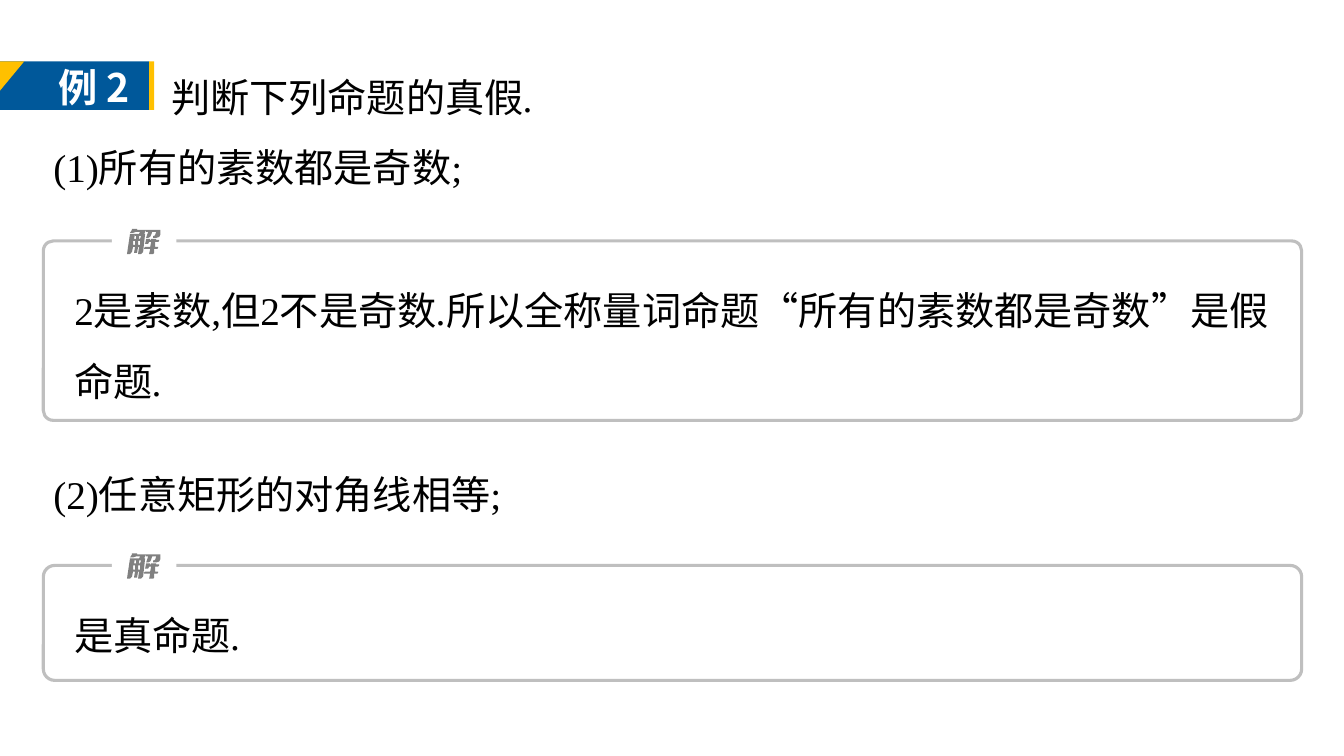
from dataclasses import dataclass

from lxml import etree
from pptx import Presentation
from pptx.dml import color
from pptx.enum import shapes, text
from pptx.oxml import ns
from pptx.util import Inches, Pt

COLORS = {
    "blue": "00589A",
    "gold": "FFC000",
    "white": "FFFFFF",
    "black": "000000",
    "border": "BFBFBF",
    "glyph": "808080",
}
SERIF, SANS = "Times New Roman", "Noto Sans CJK SC"
LEFT, WIDTH = 0.43, 12.48
BADGE_TOP, BADGE_HEIGHT = 0.61, 0.48

# Contours of the character 解, in hundredths of an inch
GLYPH = [
    [(11, 12), (11, 16), (13, 16), (13, 12)],
    [(6, 12), (6, 16), (8, 16), (8, 12)],
    [(25, 10), (29, 10), (29, 11), (32, 11), (32, 12), (31, 13), (28, 13),
     (28, 18), (31, 18), (31, 19), (30, 20), (27, 20), (27, 24), (26, 25),
     (22, 25), (23, 20), (17, 20), (17, 19), (18, 18), (23, 18), (24, 13),
     (22, 13), (21, 15), (18, 15), (19, 10), (23, 10), (23, 11), (24, 11),
     (24, 10)],
    [(12, 7), (12, 10), (13, 10), (14, 7)],
    [(20, 1), (33, 1), (33, 6), (32, 8), (29, 9), (26, 9), (26, 7), (27, 7),
     (28, 6), (29, 3), (25, 3), (24, 6), (23, 8), (21, 9), (19, 9), (21, 3),
     (19, 3), (19, 1)],
    [(5, 0), (10, 0), (10, 1), (19, 1), (17, 5), (18, 5), (16, 23), (15, 24),
     (14, 25), (11, 25), (12, 18), (11, 18), (10, 24), (7, 24), (8, 18),
     (6, 18), (5, 23), (4, 24), (3, 25), (0, 25), (3, 5), (8, 5), (7, 10),
     (9, 10), (9, 7), (8, 7), (8, 5), (12, 5), (13, 3), (9, 3), (6, 4),
     (3, 4), (5, 1)],
]


@dataclass
class Run:
    text: str
    italic: bool = False
    font: str = ""


@dataclass
class Line:
    runs: list[Run]
    indent: float = 0


@dataclass
class Box:
    left: float
    top: float
    width: float
    height: float


@dataclass
class Solution:
    top: float
    height: float
    corner: float
    text_height: float
    line: Line


STOP = Run(".", italic=True)
QUESTION_1 = [
    Line([Run("判断下列命题的真假"), STOP], indent=1.17),
    Line([Run("(1)所有的素数都是奇数;")]),
]
QUESTION_2 = [Line([Run("(2)任意矩形的对角线相等;")])]
SOLUTIONS = [
    Solution(2.39, 1.78, 0.055, 1.44, Line([
        Run("2是素数,但2不是奇数"), STOP, Run("所以全称量词命题"),
        Run("“", font=SANS), Run("所有的素数都是奇数"), Run("”", font=SANS),
        Run("是假命题"), STOP])),
    Solution(5.61, 1.14, 0.099, 0.75, Line([Run("是真命题"), STOP])),
]


def rgb(name: str) -> color.RGBColor:
    return color.RGBColor.from_string(COLORS[name])


def add_shape(s, kind, box: Box, fill: str = "", line: str = ""):
    sp = s.shapes.add_shape(kind, Inches(box.left), Inches(box.top),
                            Inches(box.width), Inches(box.height))
    paint(sp, fill, line)
    return sp


def paint(sp, fill: str, line: str = "") -> None:
    sp.shadow.inherit = False
    if fill:
        sp.fill.solid()
        sp.fill.fore_color.rgb = rgb(fill)
    else:
        sp.fill.background()
    if line:
        sp.line.color.rgb = rgb(line)
        sp.line.width = Pt(2.25)
    else:
        sp.line.fill.background()


def add_text(s, box: Box, lines: list[Line], fill: str = "black",
             bold: bool = False, spacing: float = 1.5) -> None:
    tf = s.shapes.add_textbox(Inches(box.left), Inches(box.top),
                              Inches(box.width), Inches(box.height)).text_frame
    tf.word_wrap = True
    tf.auto_size = text.MSO_AUTO_SIZE.SHAPE_TO_FIT_TEXT
    for i, line in enumerate(lines):
        p = tf.add_paragraph() if i else tf.paragraphs[0]
        p.line_spacing = spacing
        p.font.size, p.font.name, p.font.bold = Pt(28), SERIF, bold
        p.font.color.rgb = rgb(fill)
        pPr = p._p.get_or_add_pPr()
        if line.indent:
            pPr.set("indent", str(Inches(line.indent)))
        latin = pPr.find(ns.qn("a:defRPr")).find(ns.qn("a:latin"))
        east_asian = etree.Element(ns.qn("a:ea"), typeface=SANS)
        latin.addnext(east_asian)
        for run in line.runs:
            r = p.add_run()
            r.text = run.text
            if run.italic:
                r.font.italic = True
            if run.font:
                r.font.name = run.font


def add_glyph(s, left: float, top: float) -> None:
    start, *rest = GLYPH
    builder = s.shapes.build_freeform(*start[0], scale=Inches(0.01))
    builder.add_line_segments(start[1:])
    for contour in rest:
        builder.move_to(*contour[0])
        builder.add_line_segments(contour[1:])
    paint(builder.convert_to_shape(Inches(left), Inches(top)), "glyph")


def add_badge(s) -> None:
    """Draw the example number at the left edge."""
    kinds = shapes.MSO_SHAPE
    add_shape(s, kinds.RECTANGLE, Box(0, BADGE_TOP, 1.48, BADGE_HEIGHT), "blue")
    corner = add_shape(s, kinds.RIGHT_TRIANGLE, Box(0, BADGE_TOP, 0.24, 0.29), "gold")
    corner._element.spPr.xfrm.set("flipV", "1")
    add_text(s, Box(0.48, 0.58, 1, 0.57), [Line([Run("例 "), Run("2", font=SANS)])],
             "white", bold=True, spacing=1.0)
    add_shape(s, kinds.RECTANGLE, Box(1.48, BADGE_TOP, 0.05, BADGE_HEIGHT), "gold")


def add_solution(s, item: Solution) -> None:
    kinds = shapes.MSO_SHAPE
    add_text(s, Box(0.64, item.top + 0.17, 12.06, item.text_height), [item.line])
    frame = add_shape(s, kinds.ROUNDED_RECTANGLE,
                      Box(LEFT, item.top, WIDTH, item.height), line="border")
    frame.adjustments[0] = item.corner
    add_shape(s, kinds.RECTANGLE, Box(1.11, item.top - 0.13, 0.64, 0.24), "white")
    add_glyph(s, 1.26, item.top - 0.12)


def main() -> None:
    prs = Presentation()
    prs.slide_width, prs.slide_height = Inches(13.33), Inches(7.5)
    s = prs.slides.add_slide(prs.slide_layouts[6])
    add_text(s, Box(LEFT, 0.44, WIDTH, 1.44), QUESTION_1)
    add_badge(s)
    add_text(s, Box(LEFT, 4.38, WIDTH, 0.73), QUESTION_2)
    for item in SOLUTIONS:
        add_solution(s, item)
    prs.save("out.pptx")


if __name__ == "__main__":
    main()
